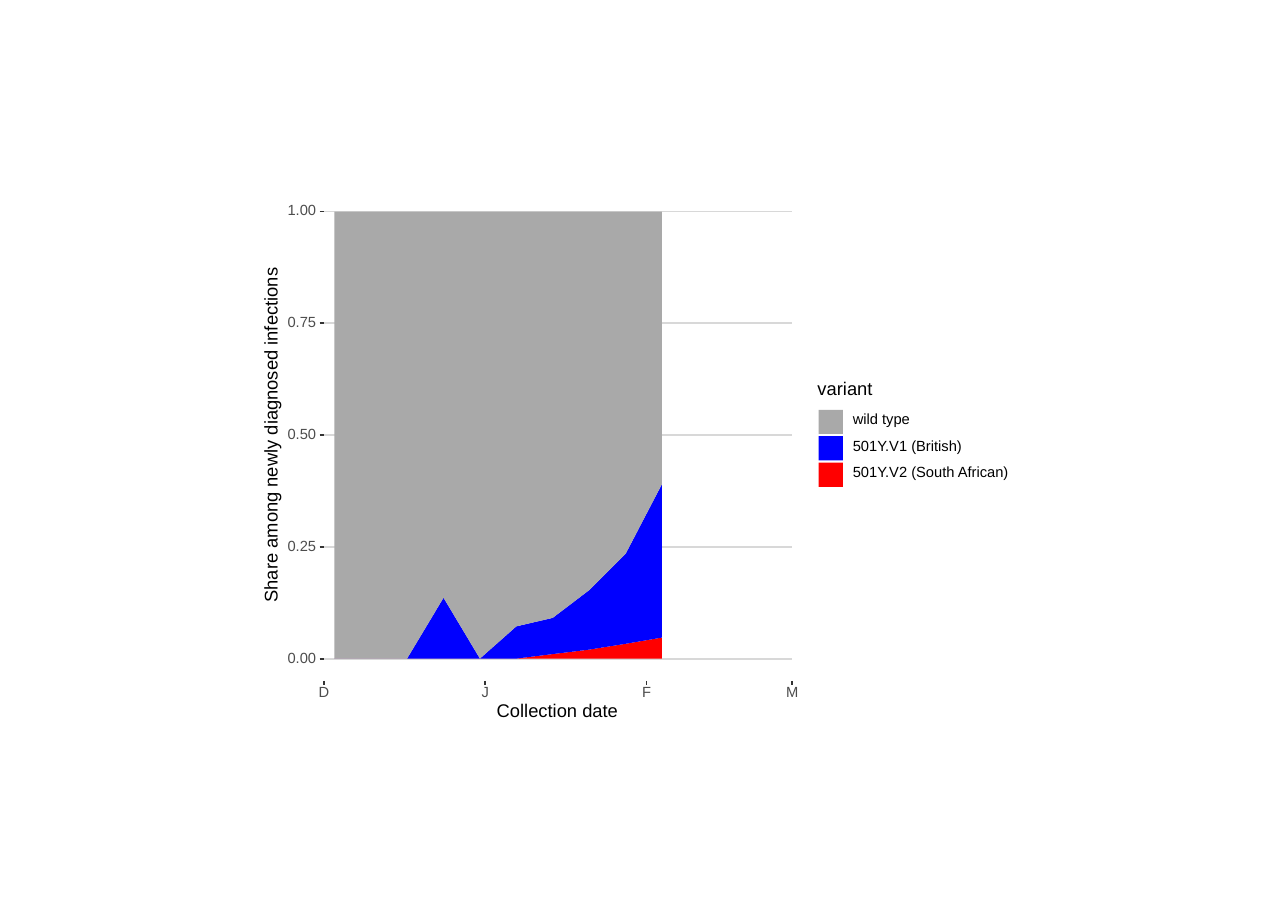
import dataclasses

import lxml.etree
import pptx
import pptx.chart.data
import pptx.dml.color
import pptx.enum.chart
import pptx.enum.shapes
import pptx.enum.text
import pptx.oxml
import pptx.oxml.ns
import pptx.util

Inches = pptx.util.Inches
Align = pptx.enum.text.PP_ALIGN


@dataclasses.dataclass(frozen=True)
class Theme:
    font: str = "Arial"
    label_size: float = 9.6
    title_size: float = 12
    line_width: float = 1.07
    text: str = "000000"
    axis_text: str = "4D4D4D"
    tick: str = "333333"
    grid: str = "D8D8D8"


@dataclasses.dataclass(frozen=True)
class Variant:
    name: str
    color: str
    shares: tuple[float, ...]


@dataclasses.dataclass(frozen=True)
class Label:
    text: str
    left: float
    top: float
    width: float
    height: float
    size: float
    color: str
    align: Align = Align.CENTER
    rotation: float = 0


THEME = Theme()
PLOT_LEFT, PLOT_TOP, PLOT_WIDTH, PLOT_HEIGHT = 2.94, 1.92, 4.25, 4.06
PLOT_BOTTOM = PLOT_TOP + PLOT_HEIGHT
PLOT_RIGHT = PLOT_LEFT + PLOT_WIDTH
TICK_LENGTH = 0.04
DATE_TICK_TOP = 6.18
LEGEND_LEFT, LEGEND_TOP, LEGEND_STEP, KEY_SIZE = 7.43, 3.72, 0.24, 0.22
DAYS_SHOWN = 90
MONTH_STARTS = {"D": 0, "J": 31, "F": 62, "M": 90}
SAMPLE_DAYS = range(2, 66, 7)

SOUTH_AFRICAN = (0, 0, 0, 0, 0, 0, 0.01, 0.02, 0.033, 0.047)
BRITISH = (0, 0, 0, 0.136, 0, 0.072, 0.081, 0.133, 0.201, 0.343)
WILD_TYPE = tuple(
    round(1 - first - second, 3) for first, second in zip(SOUTH_AFRICAN, BRITISH)
)
VARIANTS = (
    Variant("wild type", "A9A9A9", WILD_TYPE),
    Variant("501Y.V1 (British)", "0000FF", BRITISH),
    Variant("501Y.V2 (South African)", "FF0000", SOUTH_AFRICAN),
)


def rgb(color: str) -> pptx.dml.color.RGBColor:
    return pptx.dml.color.RGBColor.from_string(color)


def day_position(day: int) -> float:
    return PLOT_LEFT + PLOT_WIDTH * day / DAYS_SHOWN


def add_label(slide, label: Label) -> None:
    box = slide.shapes.add_textbox(
        Inches(label.left), Inches(label.top), Inches(label.width), Inches(label.height)
    )
    box.rotation = label.rotation
    frame = box.text_frame
    frame.margin_left = frame.margin_right = frame.margin_top = frame.margin_bottom = 0
    frame.word_wrap = False
    frame.vertical_anchor = pptx.enum.text.MSO_ANCHOR.MIDDLE
    paragraph = frame.paragraphs[0]
    paragraph.alignment = label.align
    paragraph.line_spacing = pptx.util.Pt(label.size)
    run = paragraph.add_run()
    run.text = label.text
    run.font.name = THEME.font
    run.font.size = pptx.util.Pt(label.size)
    run.font.color.rgb = rgb(label.color)


def add_line(slide, x1: float, y1: float, x2: float, y2: float, color: str) -> None:
    line = slide.shapes.add_connector(
        pptx.enum.shapes.MSO_CONNECTOR.STRAIGHT,
        Inches(x1), Inches(y1), Inches(x2), Inches(y2),
    )
    line.line.color.rgb = rgb(color)
    line.line.width = pptx.util.Pt(THEME.line_width)
    properties = line._element.spPr
    lxml.etree.SubElement(properties, pptx.oxml.ns.qn("a:effectLst"))


def fill_plot_area(chart) -> None:
    qn = pptx.oxml.ns.qn
    plot_area = chart._chartSpace.chart.plotArea
    for layout in plot_area.findall(qn("c:layout")):
        plot_area.remove(layout)
    layout = pptx.oxml.parse_xml(
        f'<c:layout {pptx.oxml.ns.nsdecls("c")}><c:manualLayout>'
        '<c:layoutTarget val="inner"/><c:xMode val="edge"/><c:yMode val="edge"/>'
        '<c:x val="0"/><c:y val="0"/><c:w val="1"/><c:h val="1"/>'
        "</c:manualLayout></c:layout>"
    )
    plot_area.insert(0, layout)
    for crossing in plot_area.iter(qn("c:crossBetween")):
        crossing.set("val", "midCat")


def add_share_chart(slide) -> None:
    data = pptx.chart.data.CategoryChartData(number_format="0.00")
    data.categories = [f"Day {day}" for day in SAMPLE_DAYS]
    stacked = tuple(reversed(VARIANTS))
    for variant in stacked:
        data.add_series(variant.name, variant.shares)
    left, right = day_position(SAMPLE_DAYS[0]), day_position(SAMPLE_DAYS[-1])
    chart = slide.shapes.add_chart(
        pptx.enum.chart.XL_CHART_TYPE.AREA_STACKED,
        Inches(left), Inches(PLOT_TOP), Inches(right - left), Inches(PLOT_HEIGHT), data,
    ).chart
    chart.has_title = False
    chart.has_legend = False
    chart.font.name = THEME.font
    chart.font.size = pptx.util.Pt(THEME.label_size)
    chart.value_axis.minimum_scale = 0
    chart.value_axis.maximum_scale = 1
    chart.value_axis.major_unit = 0.25
    for axis in (chart.value_axis, chart.category_axis):
        axis.has_major_gridlines = False
        axis.visible = False
    chart.plots[0].vary_by_categories = False
    for series, variant in zip(chart.plots[0].series, stacked):
        series.format.fill.solid()
        series.format.fill.fore_color.rgb = rgb(variant.color)
        series.format.line.fill.background()
    fill_plot_area(chart)


def add_axes(slide) -> None:
    for step in range(5):
        share = step / 4
        y = PLOT_BOTTOM - PLOT_HEIGHT * share
        add_line(slide, PLOT_LEFT - TICK_LENGTH, y, PLOT_LEFT, y, THEME.tick)
        add_label(slide, Label(f"{share:.2f}", 2.61, y - 0.05, 0.26, 0.1,
                               THEME.label_size, THEME.axis_text, Align.RIGHT))
    for month, day in MONTH_STARTS.items():
        x = day_position(day)
        add_line(slide, x, DATE_TICK_TOP, x, DATE_TICK_TOP + TICK_LENGTH, THEME.tick)
        add_label(slide, Label(month, x - 0.06, 6.24, 0.12, 0.1,
                               THEME.label_size, THEME.axis_text))
    add_label(slide, Label("Collection date", 4.46, 6.4, 1.2, 0.12,
                           THEME.title_size, THEME.text))
    add_label(slide, Label("Share among newly diagnosed infections", 0.9, 3.87, 3.14,
                           0.16, THEME.title_size, THEME.text, rotation=270))


def add_legend(slide) -> None:
    add_label(slide, Label("variant", 7.42, 3.48, 0.6, 0.12,
                           THEME.title_size, THEME.text, Align.LEFT))
    for row, variant in enumerate(VARIANTS):
        top = LEGEND_TOP + LEGEND_STEP * row
        key = slide.shapes.add_shape(
            pptx.enum.shapes.MSO_SHAPE.RECTANGLE,
            Inches(LEGEND_LEFT), Inches(top), Inches(KEY_SIZE), Inches(KEY_SIZE),
        )
        key.shadow.inherit = False
        key.fill.solid()
        key.fill.fore_color.rgb = rgb(variant.color)
        key.line.fill.background()
        add_label(slide, Label(variant.name, 7.74, top + 0.03, 1.5, 0.13,
                               THEME.label_size, THEME.text, Align.LEFT))


def main() -> None:
    presentation = pptx.Presentation()
    presentation.slide_width = Inches(11.69)
    presentation.slide_height = Inches(8.27)
    slide = presentation.slides.add_slide(presentation.slide_layouts[6])
    for step in range(5):
        y = PLOT_BOTTOM - PLOT_HEIGHT * step / 4
        add_line(slide, PLOT_LEFT, y, PLOT_RIGHT, y, THEME.grid)
    add_share_chart(slide)
    add_axes(slide)
    add_legend(slide)
    presentation.save("out.pptx")


if __name__ == "__main__":
    main()
